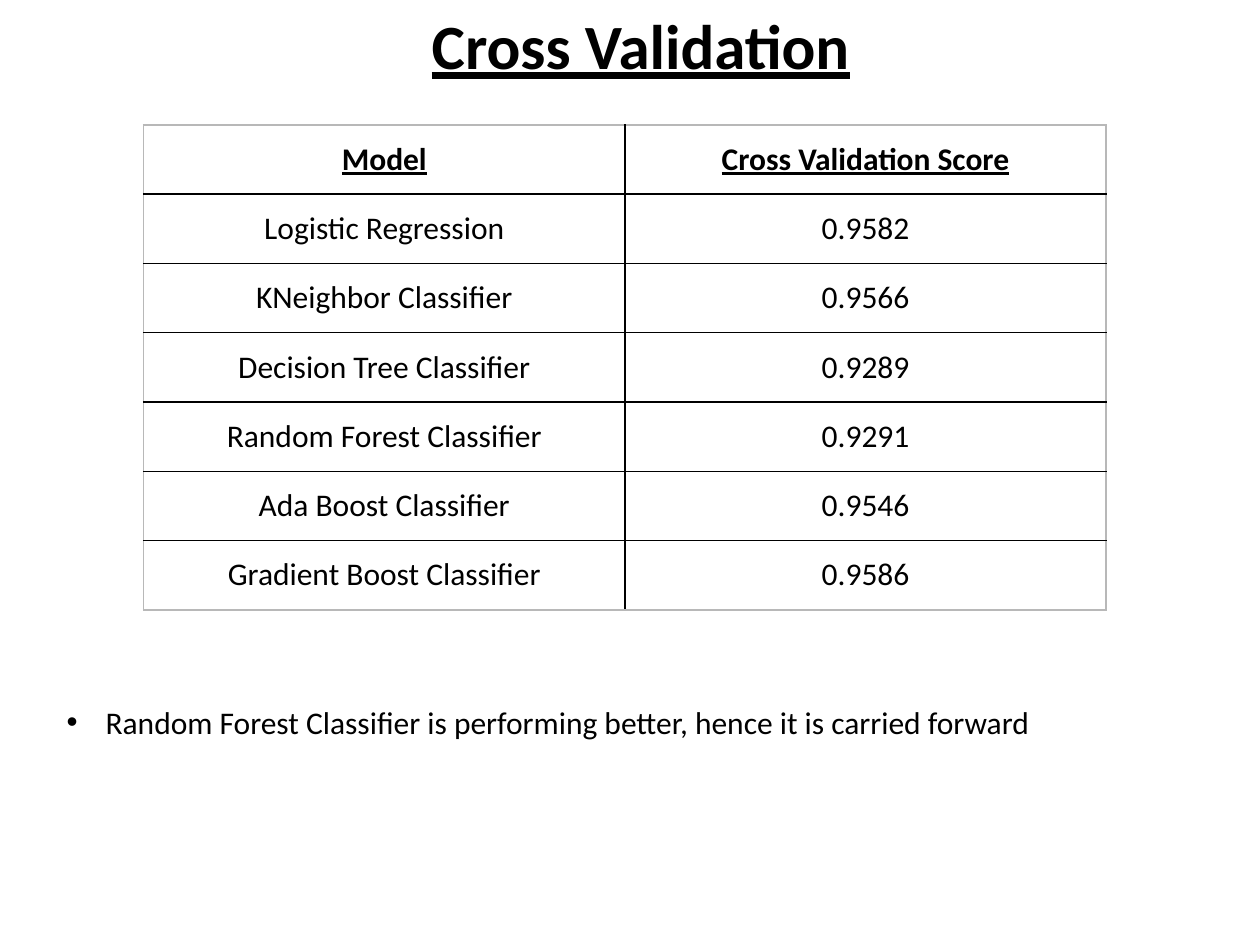
from dataclasses import dataclass
from lxml import etree
from pptx import Presentation
from pptx.dml.color import RGBColor
from pptx.enum.text import MSO_ANCHOR, PP_ALIGN
from pptx.oxml.ns import qn
from pptx.util import Inches, Pt

CENTER = PP_ALIGN.CENTER
LEFT = PP_ALIGN.LEFT
MIDDLE = MSO_ANCHOR.MIDDLE
WIDE, HIGH = Inches(10), Inches(7.5)
FONT = "Calibri"
COLORS = {"ink": "000000", "edge": "B8B8B8"}
ROW = Inches(0.55)


@dataclass
class Box:
    left: float
    top: float
    width: float
    height: float

    def place(self) -> tuple[int, int, int, int]:
        return (int(self.left * WIDE), int(self.top * HIGH),
                int(self.width * WIDE), int(self.height * HIGH))


@dataclass
class Score:
    model: str
    value: str
    head: bool = False


SCORES = [
    Score("Model", "Cross Validation Score", True),
    Score("Logistic Regression", "0.9582"),
    Score("KNeighbor Classifier", "0.9566"),
    Score("Decision Tree Classifier", "0.9289"),
    Score("Random Forest Classifier", "0.9291"),
    Score("Ada Boost Classifier", "0.9546"),
    Score("Gradient Boost Classifier", "0.9586"),
]


def write(frame, text: str, size: int, strong: bool, align):
    para = frame.paragraphs[0]
    para.alignment = align
    run = para.add_run()
    run.text = text
    font = run.font
    font.name, font.size = FONT, Pt(size)
    font.bold = font.underline = strong
    font.color.rgb = RGBColor.from_string(COLORS["ink"])
    return para


def add_text(slide, box: Box, text: str, size: int, strong: bool, align):
    frame = slide.shapes.add_textbox(*box.place()).text_frame
    frame.word_wrap = True
    return write(frame, text, size, strong, align)


def add_bullet(para) -> None:
    props = para._p.get_or_add_pPr()
    indent = Inches(0.31)
    props.set("marL", str(indent))
    props.set("indent", str(-indent))
    etree.SubElement(props, qn("a:buFont"), typeface="Arial")
    etree.SubElement(props, qn("a:buChar"), char="•")


def add_lines(cell, outer: dict[str, bool]) -> None:
    props = cell._tc.get_or_add_tcPr()
    for spot, (side, edge) in enumerate(outer.items()):
        line = etree.Element(qn(f"a:ln{side}"), w=str(Pt(1)))
        fill = etree.SubElement(line, qn("a:solidFill"))
        color = COLORS["edge" if edge else "ink"]
        etree.SubElement(fill, qn("a:srgbClr"), val=color)
        props.insert(spot, line)


def add_scores(slide, box: Box, scores: list[Score]) -> None:
    left, top, width, _ = box.place()
    count = len(scores)
    table = slide.shapes.add_table(
        count, 2, left, top, width, ROW * count).table
    table.first_row = table.horz_banding = False
    for i, score in enumerate(scores):
        table.rows[i].height = ROW
        for j, text in enumerate((score.model, score.value)):
            cell = table.cell(i, j)
            cell.fill.background()
            cell.vertical_anchor = MIDDLE
            write(cell.text_frame, text, 18, score.head, CENTER)
            add_lines(cell, {"L": j == 0, "R": j == 1,
                             "T": i == 0, "B": i == count - 1})


def main() -> None:
    deck = Presentation()
    deck.slide_width, deck.slide_height = WIDE, HIGH
    slide = deck.slides.add_slide(deck.slide_layouts[6])
    add_text(slide, Box(0.178, 0, 0.661, 0.094),
             "Cross Validation", 36, True, CENTER)
    add_scores(slide, Box(0.114, 0.132, 0.764, 0.515), SCORES)
    note = add_text(
        slide, Box(0.043, 0.737, 0.937, 0.054),
        "Random Forest Classifier is performing better, "
        "hence it is carried forward", 18, False, LEFT)
    add_bullet(note)
    deck.save("out.pptx")


if __name__ == "__main__":
    main()
